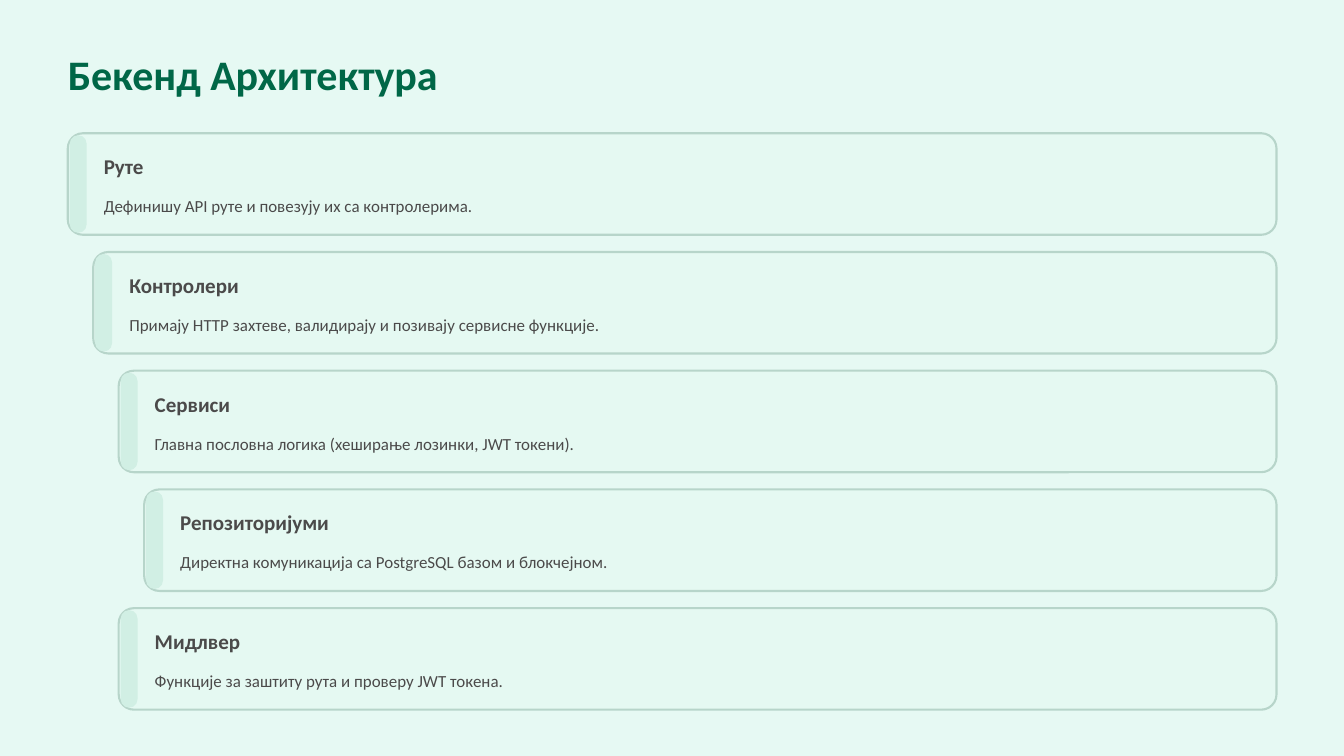
from dataclasses import dataclass

from lxml import etree
from pptx import Presentation
from pptx import util as u
from pptx.dml.color import RGBColor
from pptx.enum import shapes, text
from pptx.oxml import ns

PAGE = RGBColor(0xE6, 0xF9, 0xF3)
CARD = RGBColor(0xE5, 0xF9, 0xF2)
EDGE = RGBColor(0xB7, 0xD5, 0xCA)
BAR = RGBColor(0xD1, 0xEF, 0xE4)
GREEN = RGBColor(0x00, 0x67, 0x47)
GRAY = RGBColor(0x4B, 0x4A, 0x4A)

# Lengths in centimetres
LEFT, RIGHT, TOP = 2.05, 38.6, 4.03
STEP, PITCH = 0.77, 3.59
HEIGHT, INSET = 3.07, 0.06


@dataclass
class Layer:
    title: str
    body: str
    depth: int


LAYERS = [
    Layer("Руте", "Дефинишу API руте и повезују их са контролерима.", 0),
    Layer("Контролери",
          "Примају HTTP захтеве, валидирају и позивају сервисне функције.", 1),
    Layer("Сервиси", "Главна пословна логика (хеширање лозинки, JWT токени).", 2),
    Layer("Репозиторијуми",
          "Директна комуникација са PostgreSQL базом и блокчејном.", 3),
    Layer("Мидлвер", "Функције за заштиту рута и проверу JWT токена.", 2),
]


def write(slide, words: str, x: float, y: float, w: float, h: float, *,
          size: float, lead: float, color: RGBColor = GRAY,
          bold: bool = False) -> None:
    box = slide.shapes.add_textbox(u.Cm(x), u.Cm(y), u.Cm(w), u.Cm(h))
    frame = box.text_frame
    frame.margin_left = frame.margin_right = 0
    frame.margin_top = frame.margin_bottom = 0
    frame.word_wrap = True
    line = frame.paragraphs[0]
    line.alignment = text.PP_ALIGN.LEFT
    line.line_spacing = u.Pt(lead)
    run = line.add_run()
    run.text = words
    font = run.font
    font.name, font.size, font.bold = "Calibri", u.Pt(size), bold
    font.color.rgb = color


def panel(slide, x: float, y: float, w: float, h: float, *,
          fill: RGBColor, round: float):
    """Draw a borderless rounded rectangle."""
    shape = slide.shapes.add_shape(
        shapes.MSO_SHAPE.ROUNDED_RECTANGLE, u.Cm(x), u.Cm(y), u.Cm(w), u.Cm(h))
    shape.adjustments[0] = round
    shape.shadow.inherit = False
    shape.fill.solid()
    shape.fill.fore_color.rgb = fill
    shape.line.fill.background()
    return shape


def fade(shape, percent: int) -> None:
    """Set the opacity of a solid fill."""
    color = shape.fill._xPr.find(ns.qn("a:solidFill"))[0]
    etree.SubElement(color, ns.qn("a:alpha"), val=str(percent * 1000))


def draw(slide, layer: Layer, row: int) -> None:
    x, y = LEFT + layer.depth * STEP, TOP + row * PITCH
    card = panel(slide, x, y, RIGHT - x, HEIGHT, fill=CARD, round=0.15)
    fade(card, 95)
    card.line.color.rgb = EDGE
    card.line.width = u.Pt(1.8)
    panel(slide, x + INSET, y + INSET, 0.51, HEIGHT - 2 * INSET,
          fill=BAR, round=0.5)
    left = x + 1.09
    write(slide, layer.title, left, y + 0.59, 6.4, 0.81,
          size=18, lead=22.5, bold=True)
    write(slide, layer.body, left, y + 1.69, RIGHT - INSET - left, 0.81,
          size=14.5, lead=23)


def main() -> None:
    deck = Presentation()
    deck.slide_width, deck.slide_height = u.Cm(40.64), u.Cm(22.86)
    slide = deck.slides.add_slide(deck.slide_layouts[6])
    slide.background.fill.solid()
    slide.background.fill.fore_color.rgb = PAGE
    write(slide, "Бекенд Архитектура", LEFT, 1.4, 14.15, 1.6,
          size=36, lead=45, color=GREEN, bold=True)
    for row, layer in enumerate(LAYERS):
        draw(slide, layer, row)
    deck.save("out.pptx")


if __name__ == "__main__":
    main()
